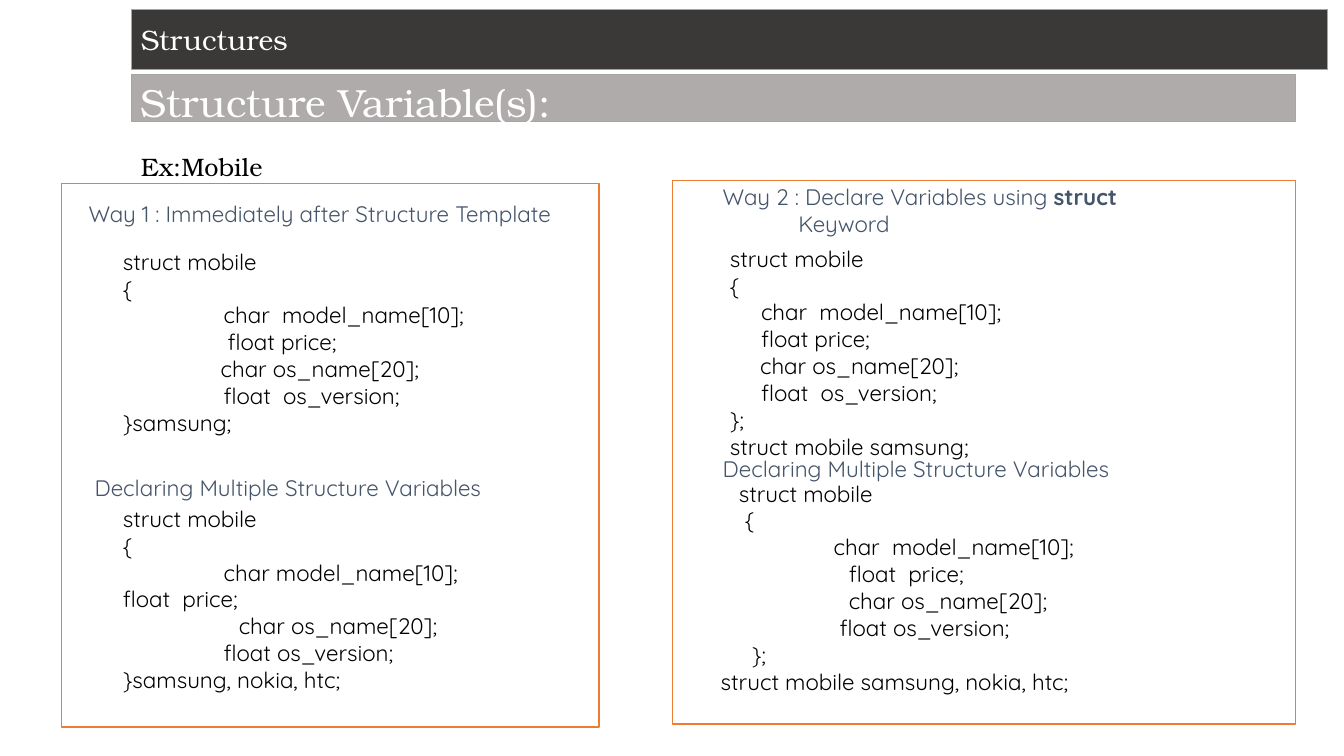
from pptx import Presentation
from pptx.dml.color import RGBColor
from pptx.enum.shapes import MSO_SHAPE
from pptx.enum.text import MSO_ANCHOR, PP_ALIGN
from pptx.util import Inches, Pt

SANS, SERIF = "Quicksand", "TeX Gyre Bonum"
SLATE, BLACK, WHITE = "44546A", "000000", "FFFFFF"
LINE = 0.27  # height of one code line


def color(code):
    return RGBColor.from_string(code)


def style(para, size, face, ink):
    font = para.font
    font.size, font.name = Pt(size), face
    font.color.rgb = color(ink)


def indent(para, left, first=0):
    props = para._p.get_or_add_pPr()
    props.set("marL", str(Inches(left)))
    props.set("indent", str(Inches(first)))


def add_rect(slide, x, y, w, h, fill, edge, width):
    shape = slide.shapes.add_shape(
        MSO_SHAPE.RECTANGLE, Inches(x), Inches(y), Inches(w), Inches(h))
    shape.shadow.inherit = False
    shape.fill.solid()
    shape.fill.fore_color.rgb = color(fill)
    shape.line.color.rgb = color(edge)
    shape.line.width = Pt(width)
    return shape


def add_bar(slide, y, w, h, text, size, drop=0):
    frame = add_rect(slide, 1.3, y, w, h, *BAR[text], "A5A5A5", 0.5).text_frame
    frame.vertical_anchor = MSO_ANCHOR.MIDDLE
    frame.margin_top, frame.margin_bottom = Inches(drop), 0
    para = frame.paragraphs[0]
    para.text, para.alignment = text, PP_ALIGN.LEFT
    style(para, size, SERIF, WHITE)


BAR = {"Structures": ["3B3838"], "Structure Variable(s):": ["AFABAB"]}


def add_box(slide, x, y, w, h):
    frame = slide.shapes.add_textbox(
        Inches(x), Inches(y), Inches(w), Inches(h)).text_frame
    frame.word_wrap = True
    return frame


def add_label(slide, x, y, text, size=16, face=SANS, ink=SLATE):
    para = add_box(slide, x, y, 5, 0.4).paragraphs[0]
    para.text = text
    style(para, size, face, ink)


def add_code(slide, x, y, lines):
    frame = add_box(slide, x, y, 4.6, len(lines) * LINE + 0.1)
    for i, (left, text) in enumerate(lines):
        para = frame.add_paragraph() if i else frame.paragraphs[0]
        para.text = text
        indent(para, left)
        style(para, 16, SANS, BLACK)


def add_way(slide):
    # Second heading wraps onto a hanging line
    para = add_box(slide, 7.07, 1.77, 4.36, 0.65).paragraphs[0]
    para.add_run().text = "Way 2 : Declare Variables using "
    word = para.add_run()
    word.text, word.font.bold = "struct", True
    para.add_run().text = " Keyword"
    indent(para, 0.75, -0.75)
    style(para, 16, SANS, SLATE)


def main():
    deck = Presentation()
    deck.slide_width, deck.slide_height = Inches(13.33), Inches(7.5)
    slide = deck.slides.add_slide(deck.slide_layouts[6])

    # Panels
    for x, y, w in [(0.61, 1.82, 5.33), (6.67, 1.79, 6.18)]:
        add_rect(slide, x, y, w, 5.39, WHITE, "ED7D31", 1.25)

    # Title bars
    add_bar(slide, 0.09, 11.87, 0.6, "Structures", 20)
    add_bar(slide, 0.74, 11.55, 0.46, "Structure Variable(s):", 28, 0.08)
    add_label(slide, 1.3, 1.45, "Ex:Mobile", 18, SERIF, BLACK)

    # Headings
    many = "Declaring Multiple Structure Variables"
    add_label(slide, 0.78, 1.94, "Way 1 : Immediately after Structure Template")
    add_label(slide, 0.84, 4.65, many)
    add_way(slide)
    add_label(slide, 7.07, 4.47, many)

    # Way 1 code
    add_code(slide, 1.12, 2.41, [
        (0, "struct mobile"), (0, "{"),
        (1, "char  model_name[10];"), (1.04, "float price;"),
        (0.97, "char os_name[20];"), (1, "float  os_version;"),
        (0, "}samsung;")])
    add_code(slide, 1.12, 4.96, [
        (0, "struct mobile"), (0, "{"),
        (1, "char model_name[10];"), (0, "float  price;"),
        (1.15, "char os_name[20];"), (1, "float os_version;"),
        (0, "}samsung, nokia, htc;")])

    # Way 2 code
    add_code(slide, 7.14, 2.38, [
        (0, "struct mobile"), (0, "{"),
        (0.31, "char  model_name[10];"), (0.31, "float price;"),
        (0.3, "char os_name[20];"), (0.31, "float  os_version;"),
        (0, "};"), (0, "struct mobile samsung;")])
    add_code(slide, 6.93, 4.71, [
        (0.3, "struct mobile"), (0.36, "{"),
        (1.24, "char  model_name[10];"), (1.39, "float  price;"),
        (1.39, "char os_name[20];"), (1.3, "float os_version;"),
        (0.43, "};"), (0.12, "struct mobile samsung, nokia, htc;")])

    deck.save("out.pptx")


if __name__ == "__main__":
    main()
